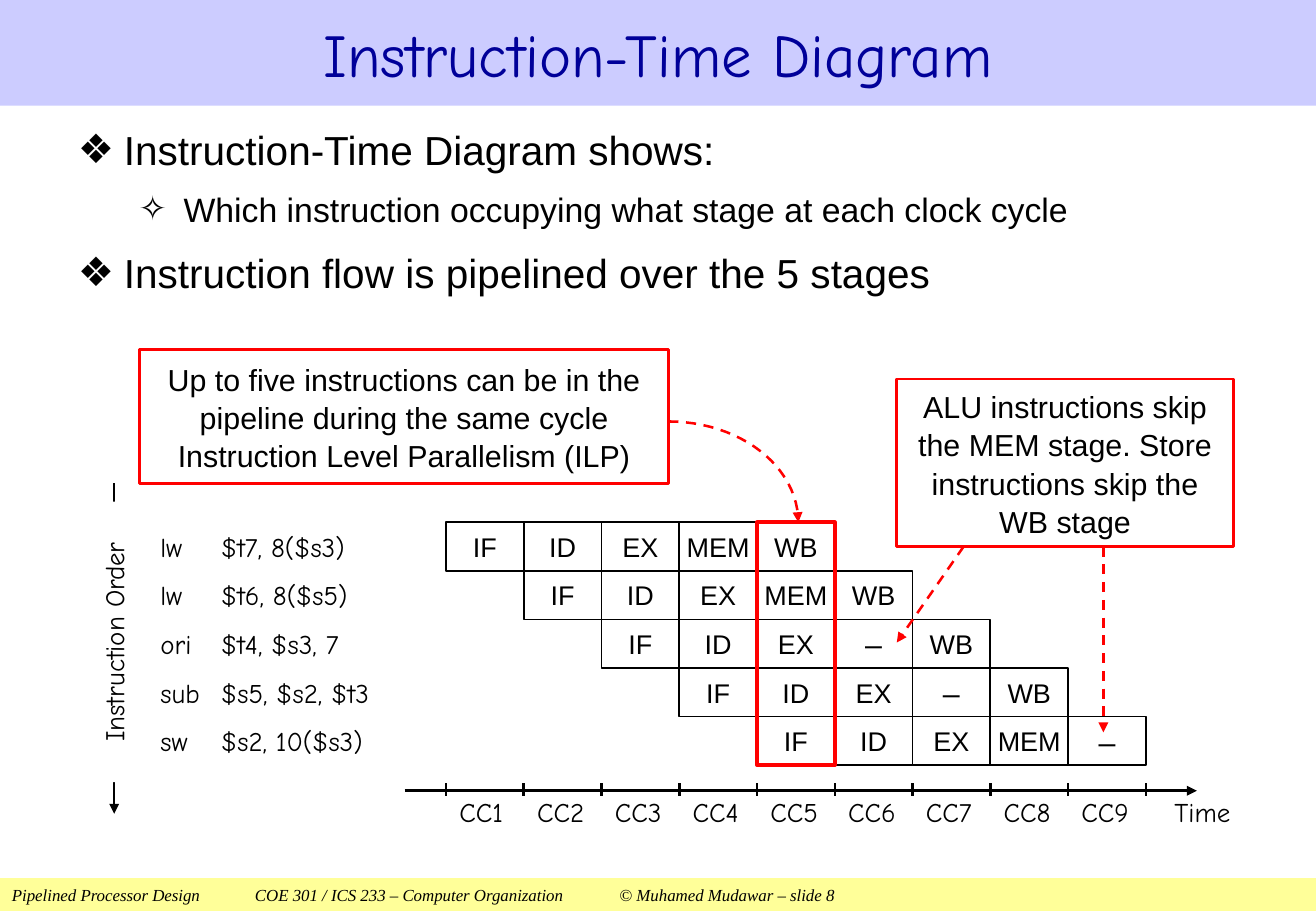
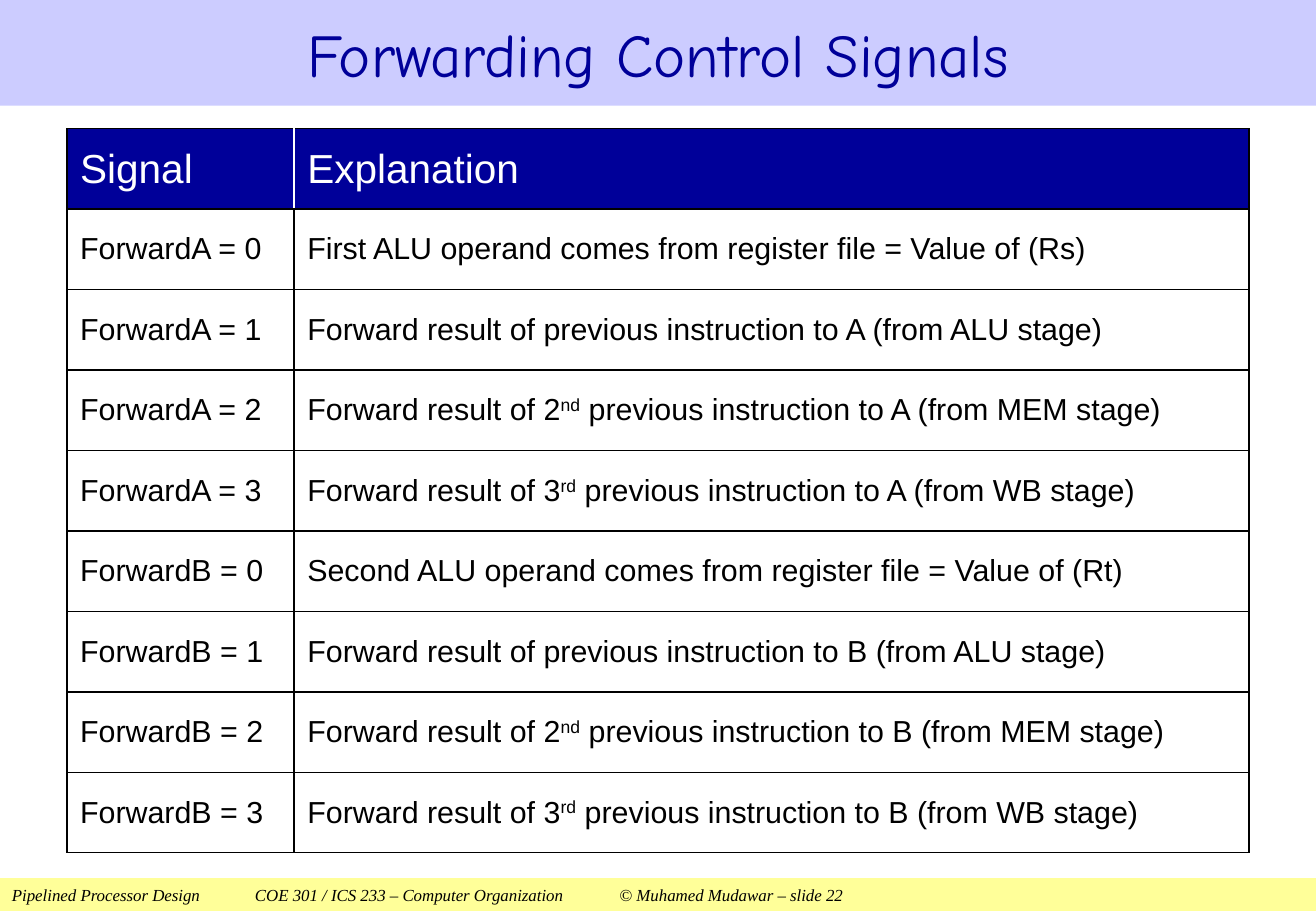
from math import cos, pi, sin

from pptx import Presentation
from pptx.dml.color import RGBColor
from pptx.enum.dml import MSO_LINE
from pptx.enum.shapes import MSO_CONNECTOR, MSO_SHAPE
from pptx.enum.text import MSO_ANCHOR, MSO_AUTO_SIZE, PP_ALIGN
from pptx.oxml.ns import qn
from pptx.oxml.xmlchemy import OxmlElement
from pptx.util import Pt

RECT = MSO_SHAPE.RECTANGLE
STRAIGHT = MSO_CONNECTOR.STRAIGHT
DASH = MSO_LINE.DASH
LEFT, CENTER = PP_ALIGN.LEFT, PP_ALIGN.CENTER
TOP, MIDDLE = MSO_ANCHOR.TOP, MSO_ANCHOR.MIDDLE
FIXED = MSO_AUTO_SIZE.NONE

BLACK = RGBColor(0x00, 0x00, 0x00)
WHITE = RGBColor(0xFF, 0xFF, 0xFF)
NAVY = RGBColor(0x00, 0x00, 0x99)
LILAC = RGBColor(0xCC, 0xCC, 0xFF)
YELLOW = RGBColor(0xFF, 0xFF, 0x99)
RED = RGBColor(0xFF, 0x00, 0x00)

SANS, COMIC, SERIF = "Arial", "Comic Neue", "Times New Roman"
SCALE = 9144  # EMU per px, 100 px to the inch
WIDE, HIGH = 1083, 750

# Pipeline grid: one column per clock cycle, one row per instruction
GRID_X, GRID_Y, COL, ROW = 367, 430, 64, 40
CYCLES = 9
AXIS_Y = 651
CODE = [
    ("lw\t$t7, 8($s3)", "IF ID EX MEM WB"),
    ("lw\t$t6, 8($s5)", "IF ID EX MEM WB"),
    ("ori\t$t4, $s3, 7", "IF ID EX – WB"),
    ("sub\t$s5, $s2, $t3", "IF ID EX – WB"),
    ("sw\t$s2, 10($s3)", "IF ID EX MEM –"),
]
POINTS = [
    (0, "Instruction-Time Diagram shows:"),
    (1, "Which instruction occupying what stage at each clock cycle"),
    (0, "Instruction flow is pipelined over the 5 stages"),
]
# Per list level: bullet, left margin, hanging indent, size, space before
LEVELS = [("❖", 38, 38, 24, 11), ("✧", 87, 37, 20, 9)]


def px(num):
    return int(num * SCALE)


def place(shape, box):
    shape.left, shape.top, shape.width, shape.height = map(px, box)


def style(para, size, font=SANS, color=BLACK, italic=False):
    for run in para.runs:
        run.font.size = Pt(size)
        run.font.name = font
        run.font.color.rgb = color
        run.font.italic = italic


def write(shape, text, size, font=SANS, color=BLACK, align=CENTER,
          anchor=MIDDLE, pad=(0, 0, 0, 0), italic=False, space=None):
    frame = shape.text_frame
    frame.text = text
    frame.word_wrap = True
    frame.auto_size = FIXED
    frame.vertical_anchor = anchor
    (frame.margin_left, frame.margin_top,
     frame.margin_right, frame.margin_bottom) = map(px, pad)
    for para in frame.paragraphs:
        para.alignment = align
        para.space_before = Pt(0)
        para.line_spacing = space
        style(para, size, font, color, italic)


def set_tabs(para, stops):
    tabs = OxmlElement("a:tabLst")
    for stop in stops:
        tab = OxmlElement("a:tab")
        tab.set("pos", str(px(stop)))
        tab.set("algn", "l")
        tabs.append(tab)
    para._p.get_or_add_pPr().append(tabs)


def set_bullet(para, mark, left, hang):
    props = para._p.get_or_add_pPr()
    props.set("marL", str(px(left)))
    props.set("indent", str(px(-hang)))
    char = OxmlElement("a:buChar")
    char.set("char", mark)
    props.append(char)


def add_box(slide, box, fill=None, edge=None, width=1):
    shape = slide.shapes.add_shape(RECT, *map(px, box))
    shape.shadow.inherit = False
    if fill is None:
        shape.fill.background()
    else:
        shape.fill.solid()
        shape.fill.fore_color.rgb = fill
    if edge is None:
        shape.line.fill.background()
    else:
        shape.line.color.rgb = edge
        shape.line.width = Pt(width)
    return shape


def add_label(slide, box, text, size, **look):
    label = slide.shapes.add_textbox(*map(px, box))
    write(label, text, size, **look)
    return label


def stroke(shape, color, width, dash, arrow):
    shape.line.color.rgb = color
    shape.line.width = Pt(width)
    if dash:
        shape.line.dash_style = DASH
    if arrow:
        tail = OxmlElement("a:tailEnd")
        tail.set("type", "triangle")
        shape._element.spPr.find(qn("a:ln")).append(tail)


def add_line(slide, start, end, color=BLACK, width=1.5, dash=False, arrow=False):
    line = slide.shapes.add_connector(STRAIGHT, *map(px, start + end))
    stroke(line, color, width, dash, arrow)
    line._element.spPr.append(OxmlElement("a:effectLst"))


def add_arc(slide, start, end, steps=24):
    """Quarter ellipse leaving sideways and arriving from above."""
    (x1, y1), (x2, y2) = start, end
    turns = [pi / 2 * i / steps for i in range(steps + 1)]
    dots = [(px(x1 + (x2 - x1) * sin(t)), px(y2 - (y2 - y1) * cos(t)))
            for t in turns]
    path = slide.shapes.build_freeform(*dots[0])
    path.add_line_segments(dots[1:], close=False)
    arc = path.convert_to_shape()
    arc.shadow.inherit = False
    arc.fill.background()
    stroke(arc, RED, 1.5, True, True)


def add_note(slide, box, text, side):
    note = add_box(slide, box, edge=RED, width=1.5)
    write(note, text, 18, pad=(side, 0, side, 0), space=1.05)


def add_frame(deck, layout, title, page):
    """New slide with the title band and the footer band."""
    slide = deck.slides.add_slide(deck.slide_layouts[layout])
    foot = add_box(slide, (0, 723, WIDE, HIGH - 723), YELLOW)
    write(foot, "Pipelined Processor Design\tCOE 301 / ICS 233 – Computer "
          f"Organization\t© Muhamed Mudawar – slide {page}", 10, SERIF,
          align=LEFT, pad=(10, 0, 10, 0), italic=True)
    set_tabs(foot.text_frame.paragraphs[0], (200, 500))
    band = slide.shapes.title
    place(band, (0, 0, WIDE, 87))
    band.fill.solid()
    band.fill.fore_color.rgb = LILAC
    write(band, title, 36, COMIC, NAVY, pad=(0, 5, 0, 5))
    return slide


def fill_list(body, box, points):
    place(body, box)
    write(body, "\n".join(text for _, text in points), 24, align=LEFT,
          anchor=TOP, pad=(10, 5, 10, 5))
    for i, (para, (level, _)) in enumerate(zip(body.text_frame.paragraphs, points)):
        mark, left, hang, size, gap = LEVELS[level]
        para.level = level
        para.space_before = Pt(gap if i else 0)
        set_bullet(para, mark, left, hang)
        style(para, size)


def add_grid(slide):
    for i, (code, stages) in enumerate(CODE):
        top = GRID_Y + i * ROW
        label = add_label(slide, (132, top, 223, ROW), code, 16,
                          font=COMIC, align=LEFT)
        set_tabs(label.text_frame.paragraphs[0], (50,))
        for j, stage in enumerate(stages.split(), i):
            cell = add_box(slide, (GRID_X + j * COL, top, COL, ROW), edge=BLACK)
            write(cell, stage, 18 if stage == "–" else 16)


def add_axes(slide):
    # Clock cycles
    add_line(slide, (333, AXIS_Y), (985, AXIS_Y), arrow=True)
    for i in range(CYCLES + 1):
        x = GRID_X + i * COL
        add_line(slide, (x, AXIS_Y - 6), (x, AXIS_Y + 4))
        if i < CYCLES:
            add_label(slide, (x - 1, 655, COL, 30), f"CC{i + 1}", 16,
                      font=COMIC, align=LEFT, anchor=TOP, pad=(12, 0, 0, 0))
    add_label(slide, (936, 655, 107, 30), "Time", 16, font=COMIC, anchor=TOP)
    # Instruction order
    add_line(slide, (94, 398), (94, 670), width=1, arrow=True)
    order = add_box(slide, (72, 413, 43, 231), WHITE)
    write(order, "Instruction Order", 16, COMIC)
    order.text_frame._txBody.bodyPr.set("vert", "vert270")


def add_notes(slide):
    add_arc(slide, (550, 347), (657, 430))
    add_note(slide, (115, 288, 435, 110),
             "Up to five instructions can be in the pipeline during the same "
             "cycle\nInstruction Level Parallelism (ILP)", 0)
    add_box(slide, (GRID_X + 4 * COL, GRID_Y, COL, 5 * ROW), edge=RED, width=2.25)
    add_note(slide, (738, 312, 277, 138),
             "ALU instructions skip the MEM stage. Store instructions skip "
             "the WB stage", 8)
    for start, end in (((793, 450), (738, 529)), ((908, 450), (908, 603))):
        add_line(slide, start, end, RED, dash=True, arrow=True)


def signal_rows():
    rows = [("Signal", "Explanation")]
    for port, nth, reg in (("A", "First", "Rs"), ("B", "Second", "Rt")):
        texts = [f"{nth} ALU operand comes from register file = Value of ({reg})"]
        for rank, stage in (("", "ALU"), ("2^nd^ ", "MEM"), ("3^rd^ ", "WB")):
            texts.append(f"Forward result of {rank}previous instruction "
                         f"to {port} (from {stage} stage)")
        rows += [(f"Forward{port} = {i}", text) for i, text in enumerate(texts)]
    return rows


def set_edge(cell, side, color):
    edge = OxmlElement(f"a:{side}")
    edge.set("w", str(Pt(1)))
    fill = OxmlElement("a:solidFill")
    tint = OxmlElement("a:srgbClr")
    tint.set("val", str(color))
    fill.append(tint)
    edge.append(fill)
    cell._tc.get_or_add_tcPr().append(edge)


def fill_cell(cell, text, head, col):
    # Borders come before the fill in the cell properties
    inner = "lnR" if col == 0 else "lnL"
    for side in ("lnL", "lnR", "lnT", "lnB"):
        set_edge(cell, side, WHITE if head and side == inner else BLACK)
    cell.fill.solid()
    cell.fill.fore_color.rgb = NAVY if head else WHITE
    cell.vertical_anchor = MIDDLE
    cell.margin_left = px(11)
    cell.margin_right = cell.margin_top = cell.margin_bottom = px(5)
    para = cell.text_frame.paragraphs[0]
    for i, part in enumerate(text.split("^")):
        run = para.add_run()
        run.text = part
        if i % 2:
            run._r.get_or_add_rPr().set("baseline", "30000")
    style(para, 24 if head else 18, color=WHITE if head else BLACK)


def add_table(slide, box, widths, rows):
    table = slide.shapes.add_table(len(rows), len(widths), *map(px, box)).table
    table.horz_banding = False
    for col, width in zip(table.columns, widths):
        col.width = px(width)
    for i, texts in enumerate(rows):
        table.rows[i].height = px(box[3]) // len(rows)
        for j, text in enumerate(texts):
            fill_cell(table.cell(i, j), text, i == 0, j)


def main():
    deck = Presentation()
    deck.slide_width, deck.slide_height = px(WIDE), px(HIGH)

    # Instruction-time diagram
    slide = add_frame(deck, 1, "Instruction-Time Diagram", 8)
    fill_list(slide.placeholders[1], (54, 98, 970, 177), POINTS)
    add_grid(slide)
    add_axes(slide)
    add_notes(slide)

    # Forwarding table
    slide = add_frame(deck, 5, "Forwarding Control Signals", 22)
    add_table(slide, (55, 106, 973, 596), (187, 786), signal_rows())

    deck.save("out.pptx")


if __name__ == "__main__":
    main()
